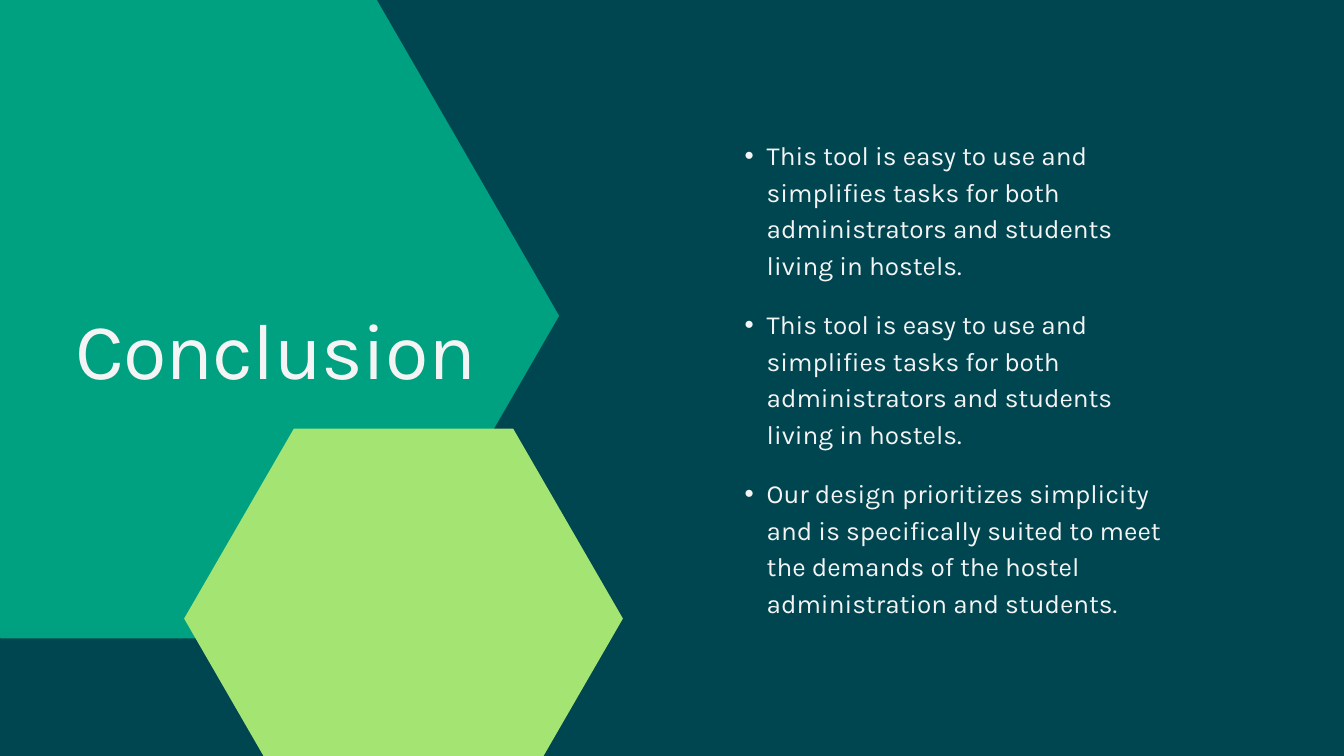
from pptx import Presentation
from pptx.dml.color import RGBColor
from pptx.enum.text import MSO_AUTO_SIZE
from pptx.oxml.xmlchemy import OxmlElement
from pptx.util import Inches, Pt

COLORS = {
    "background": "004651",
    "green": "00A181",
    "lime": "A4E473",
    "text": "F4F4F4",
}
FONT = "Karla"
POINTS = [
    "This tool is easy to use and simplifies tasks for both administrators and students living in hostels.",
    "This tool is easy to use and simplifies tasks for both administrators and students living in hostels.",
    "Our design prioritizes simplicity and is specifically suited to meet the demands of the hostel "
    "administration and students.",
]
FIRST_POINT_TOP = 2
POINT_STEP = 2.515


def color(name):
    return RGBColor.from_string(COLORS[name])


class SlideBuilder:
    """Holds the text style and the slide being built."""

    def __init__(self, slide):
        self.slide = slide
        self.font_name = FONT
        self.text_color = color("text")

    def background(self, color_name):
        fill = self.slide.background.fill
        fill.solid()
        fill.fore_color.rgb = color(color_name)

    def hexagon(self, left, top, width, height, color_name):
        """Draw a flat-topped hexagon whose corners are inset by a quarter of its width."""
        right, bottom, middle = left + width, top + height, top + height / 2
        inner_left, inner_right = left + width / 4, right - width / 4
        corners = [
            (inner_right, bottom), (inner_left, bottom), (left, middle),
            (inner_left, top), (inner_right, top),
        ]
        builder = self.slide.shapes.build_freeform(Inches(right), Inches(middle))
        builder.add_line_segments([(Inches(x), Inches(y)) for x, y in corners], close=True)
        shape = builder.convert_to_shape()
        shape.shadow.inherit = False
        shape.fill.solid()
        shape.fill.fore_color.rgb = color(color_name)
        shape.line.fill.background()

    def text(self, content, left, top, width, height, size, line_spacing, bullet=False, tracking=None):
        """Add a one-paragraph text box; tracking is in hundredths of a point."""
        box = self.slide.shapes.add_textbox(Inches(left), Inches(top), Inches(width), Inches(height))
        frame = box.text_frame
        frame.word_wrap = True
        frame.auto_size = MSO_AUTO_SIZE.SHAPE_TO_FIT_TEXT
        frame.margin_left = frame.margin_top = frame.margin_right = frame.margin_bottom = 0
        paragraph = frame.paragraphs[0]
        run = paragraph.add_run()
        run.text = content
        paragraph.line_spacing = Pt(line_spacing)
        if bullet:
            self.add_bullet(paragraph)
        paragraph.font.name = self.font_name
        paragraph.font.size = Pt(size)
        paragraph.font.color.rgb = self.text_color
        if tracking is not None:
            run.font._element.set("spc", str(tracking))

    def add_bullet(self, paragraph):
        paragraph.level = 1
        properties = paragraph._p.get_or_add_pPr()
        properties.set("marL", str(Inches(0.66)))
        properties.set("indent", str(Inches(-0.33)))
        bullet_font = OxmlElement("a:buFont")
        bullet_font.set("typeface", "Arial")
        bullet = OxmlElement("a:buChar")
        bullet.set("char", "•")
        properties.extend([bullet_font, bullet])


def main():
    presentation = Presentation()
    presentation.slide_width = Inches(20)
    presentation.slide_height = Inches(11.25)
    builder = SlideBuilder(presentation.slides.add_slide(presentation.slide_layouts[6]))

    builder.background("background")
    builder.hexagon(-2.76, -0.1, 11.08, 9.6, "green")
    builder.hexagon(2.74, 6.38, 6.53, 5.65, "lime")
    builder.text("Conclusion", 1.12, 4.46, 6.3, 1.41, size=85, line_spacing=102, tracking=-80)
    for index, point in enumerate(POINTS):
        top = FIRST_POINT_TOP + index * POINT_STEP
        builder.text(point, 10.75, top, 6.68, 2.15, size=28, line_spacing=39.2, bullet=True)

    presentation.save("out.pptx")


if __name__ == "__main__":
    main()
